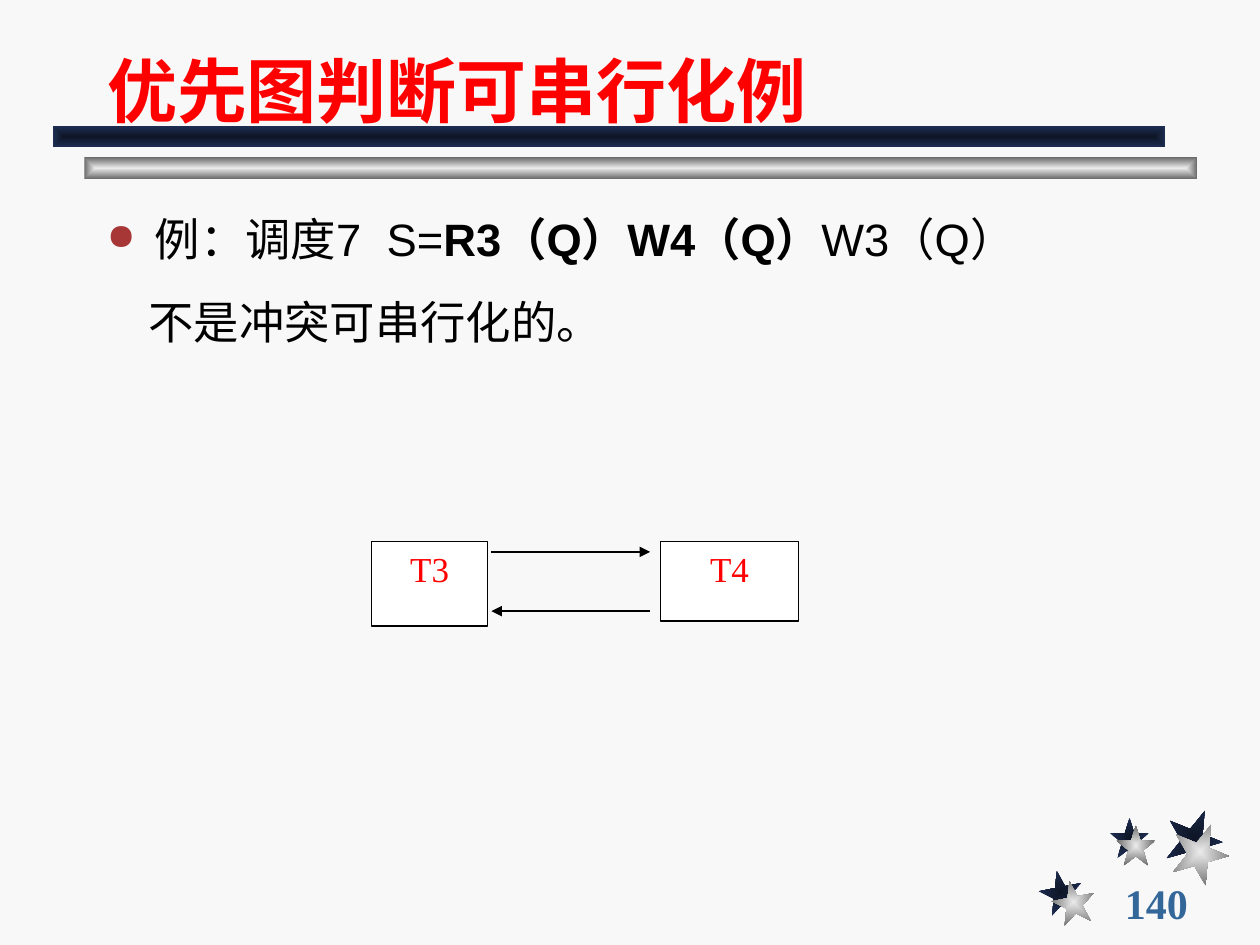
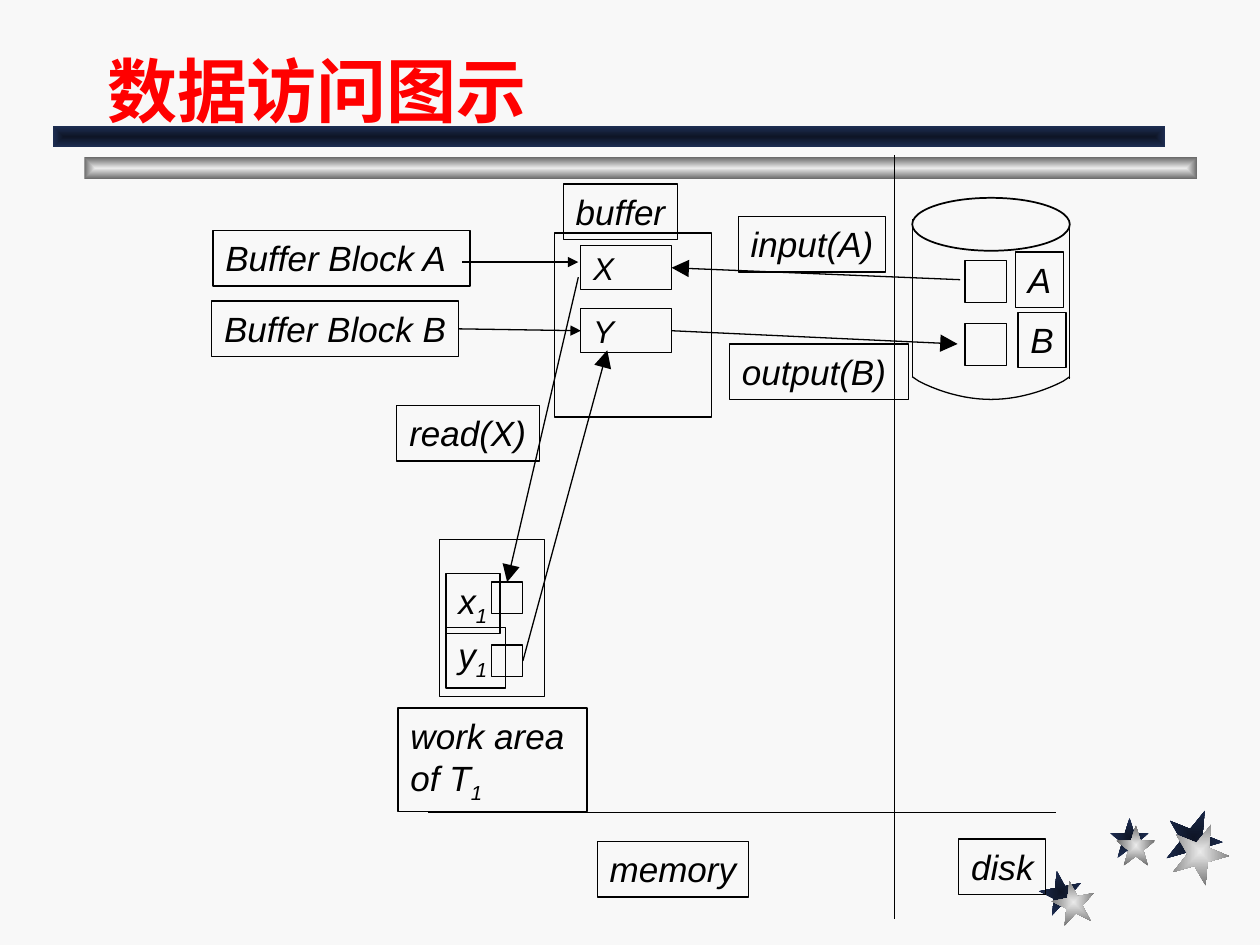
from dataclasses import dataclass
from math import pi, sin

from lxml.etree import SubElement
from pptx import Presentation
from pptx.dml.color import RGBColor
from pptx.enum.shapes import MSO_CONNECTOR, MSO_SHAPE
from pptx.enum.text import MSO_ANCHOR, PP_ALIGN
from pptx.oxml.ns import qn
from pptx.util import Inches, Pt

SLIDE_WIDTH, SLIDE_HEIGHT = Inches(10), Inches(7.5)
COLUMN, ROW = SLIDE_WIDTH / 100, SLIDE_HEIGHT / 75
TOP, LEFT, BOTTOM, RIGHT = range(4)


@dataclass(frozen=True)
class Theme:
    background: str = "F8F8F8"
    ink: str = "000000"
    red: str = "FF0000"
    white: str = "FFFFFF"
    bullet: str = "A73737"
    number: str = "336699"
    navy: tuple = ("0E1526", "1E2E53")
    silver: tuple = ("EAEAEA", "6C6C6C")
    sans: str = "Arial"
    serif: str = "Times New Roman"
    title_size: float = 40
    body_size: float = 25.9
    number_size: float = 24
    label_size: float = 20
    cell_size: float = 18
    line: float = 0.75


THEME = Theme()


@dataclass(frozen=True)
class Box:
    left: float
    top: float
    width: float
    height: float

    def area(self, left, top, width, height):
        return Box(self.left + left, self.top + top, width, height)

    def point(self, across, down):
        return self.left + across, self.top + down

    def frame(self):
        return (round(self.left * COLUMN), round(self.top * ROW),
                round(self.width * COLUMN), round(self.height * ROW))


PAGE = Box(0, 0, 100, 75)


def add_span(para, text, size, color=THEME.ink, font=THEME.sans, bold=False, italic=False):
    span = para.add_run()
    span.text = text
    span.font.size = Pt(size)
    span.font.name = font
    span.font.bold = bold
    span.font.italic = italic
    span.font.color.rgb = RGBColor.from_string(color)
    return span


def add_figure(page, kind, box, fill=None, line=THEME.line):
    figure = page.shapes.add_shape(kind, *box.frame())
    figure.shadow.inherit = False
    if fill:
        figure.fill.solid()
        figure.fill.fore_color.rgb = RGBColor.from_string(fill)
    else:
        figure.fill.background()
    figure.line.color.rgb = RGBColor.from_string(THEME.ink)
    figure.line.width = Pt(line)
    return figure


def add_rectangle(page, box, fill=None):
    return add_figure(page, MSO_SHAPE.RECTANGLE, box, fill)


def add_shaded(page, kind, box, colors, angle=0):
    figure = add_figure(page, kind, box)
    figure.line.fill.background()
    figure.rotation = angle
    figure.fill.gradient()
    for stop, color in zip(figure.fill.gradient_stops, colors):
        stop.color.rgb = RGBColor.from_string(color)
    gradient = figure.element.spPr.find(qn("a:gradFill"))
    gradient.remove(gradient.find(qn("a:lin")))
    shade = SubElement(gradient, qn("a:path"), path="rect")
    SubElement(shade, qn("a:fillToRect"), l="50000", t="50000", r="50000", b="50000")


def add_label(page, box, *lines, size=THEME.label_size, anchor=MSO_ANCHOR.TOP):
    label = add_rectangle(page, box)
    frame = label.text_frame
    frame.word_wrap = True
    frame.margin_right = 0
    frame.vertical_anchor = anchor
    for index, line in enumerate(lines):
        para = frame.add_paragraph() if index else frame.paragraphs[0]
        para.alignment = PP_ALIGN.LEFT
        base, _, subscript = line.partition("_")
        add_span(para, base, size, italic=True)
        if subscript:
            span = add_span(para, subscript, size, italic=True)
            span.font._element.set("baseline", "-25000")
    return label


def add_line(page, start, end, head=None, begin=None, finish=None):
    line = page.shapes.add_connector(
        MSO_CONNECTOR.STRAIGHT, round(start[0] * COLUMN), round(start[1] * ROW),
        round(end[0] * COLUMN), round(end[1] * ROW))
    line.line.color.rgb = RGBColor.from_string(THEME.ink)
    line.line.width = Pt(THEME.line)
    if head:
        outline = line.element.spPr.find(qn("a:ln"))
        SubElement(outline, qn("a:tailEnd"), type="triangle", w=head, len=head)
    SubElement(line.element.spPr, qn("a:effectLst"))
    if begin:
        line.begin_connect(*begin)
    if finish:
        line.end_connect(*finish)


def add_stars(page, box):
    stars = [((0, 4.9, 3.4, 3.4), (1, 0.8), -11),
             ((5.6, 0.7, 3.1, 3.2), (0.5, 0.6), 0),
             ((10, 0, 4.5, 4.6), (0.5, 1.1), 22)]
    for (left, top, width, height), _, angle in stars:
        add_shaded(page, MSO_SHAPE.STAR_5_POINT, box.area(left, top, width, height),
                   THEME.navy, angle)
    for (left, top, width, height), (across, down), angle in stars:
        add_shaded(page, MSO_SHAPE.STAR_5_POINT,
                   box.area(left + across, top + down, width, height), THEME.silver, angle)


def add_bands(page, box):
    for left, top, colors in ((2.5, 2.5, THEME.silver), (0, 0, THEME.navy)):
        add_shaded(page, MSO_SHAPE.RECTANGLE, box.area(left, top, 88.3, 1.7), colors)


def add_page(deck, heading):
    page = deck.slides.add_slide(deck.slide_layouts[5])
    add_stars(page, PAGE.area(82.5, 64.2, 15, 9.1))
    add_bands(page, PAGE.area(4.2, 10, 90.8, 4.2))
    title = page.shapes.title
    title.left, title.top, title.width, title.height = PAGE.area(7.5, 1.7, 85, 9.2).frame()
    title.text_frame.vertical_anchor = MSO_ANCHOR.BOTTOM
    para = title.text_frame.paragraphs[0]
    para.alignment = PP_ALIGN.LEFT
    add_span(para, heading, THEME.title_size, THEME.red, bold=True)
    return page


def add_page_number(page, box, number):
    frame = page.shapes.add_textbox(*box.frame()).text_frame
    frame.word_wrap = True
    frame.vertical_anchor = MSO_ANCHOR.MIDDLE
    add_span(frame.paragraphs[0], number, THEME.number_size, THEME.number, THEME.serif, bold=True)


def add_schedule(page, box):
    frame = page.shapes.add_textbox(*box.frame()).text_frame
    frame.word_wrap = True
    schedule = frame.paragraphs[0]
    properties = schedule._p.get_or_add_pPr()
    properties.set("marL", str(Inches(0.38)))
    properties.set("indent", str(-Inches(0.38)))
    color = SubElement(properties, qn("a:buClr"))
    SubElement(color, qn("a:srgbClr"), val=THEME.bullet)
    SubElement(properties, qn("a:buSzPct"), val="80000")
    SubElement(properties, qn("a:buChar"), char="●")
    add_span(schedule, "例：调度7", THEME.body_size)
    gap = add_span(schedule, " ", THEME.body_size)
    gap.font._element.set("spc", "720")
    add_span(schedule, "S=", THEME.body_size)
    add_span(schedule, "R3（Q）W4（Q）", THEME.body_size, bold=True)
    add_span(schedule, "W3（Q）", THEME.body_size)

    verdict = frame.add_paragraph()
    verdict._p.get_or_add_pPr().set("marL", str(Inches(0.33)))
    verdict.space_before = Pt(7)
    add_span(verdict, "不是冲突可串行化的。", THEME.body_size)
    for para in frame.paragraphs:
        para.line_spacing = 1.3


def add_precedence_graph(page, box):
    for name, left, width, height in (("T3", 0, 9.2, 6.7), ("T4", 22.9, 11, 6.3)):
        node = add_rectangle(page, box.area(left, 0, width, height), THEME.white)
        node.text_frame.vertical_anchor = MSO_ANCHOR.TOP
        para = node.text_frame.paragraphs[0]
        para.alignment = PP_ALIGN.CENTER
        add_span(para, name, THEME.label_size, THEME.red, THEME.serif)
    add_line(page, box.point(9.5, 0.8), box.point(22.1, 0.8), "med")
    add_line(page, box.point(22.1, 5.5), box.point(9.5, 5.5), "med")


def add_buffer(page, box):
    add_rectangle(page, box)
    cells = [add_label(page, box.area(2.1, top, 7.2, 3.5), name,
                       size=THEME.cell_size, anchor=MSO_ANCHOR.MIDDLE)
             for name, top in (("X", 1), ("Y", 6))]
    add_label(page, box.area(0.7, -3.9, 9.1, 4.4), "buffer")
    add_label(page, box.area(-27.1, -0.2, 20.4, 4.4), "Buffer Block A")
    block = add_label(page, box.area(-27.2, 5.4, 19.6, 4.4), "Buffer Block B")
    add_line(page, box.point(-7.3, 2.3), box.point(1.9, 2.3), "med")
    add_line(page, box.point(-7.5, 7.7), box.point(2.1, 7.7), "med",
             (block, RIGHT), (cells[1], LEFT))
    return cells


def add_disk(page, box):
    add_figure(page, MSO_SHAPE.OVAL, box.area(0, 0, box.width, 4.2), line=1)
    for across, down in ((0, 1.7), (box.width, 1.9)):
        add_line(page, box.point(across, down), box.point(across, down + 12.5))
    steps = 24
    curve = [box.point(box.width * step / steps, 14.2 + 1.8 * max(0, sin(pi * step / steps)) ** 0.8)
             for step in range(steps + 1)]
    points = [(round(across * COLUMN), round(down * ROW)) for across, down in curve]
    builder = page.shapes.build_freeform(*points[0])
    builder.add_line_segments(points[1:], close=False)
    base = builder.convert_to_shape()
    base.shadow.inherit = False
    base.fill.background()
    base.line.color.rgb = RGBColor.from_string(THEME.ink)
    base.line.width = Pt(THEME.line)
    for name, top, left, label_top in (("A", 5, 8.2, 4.3), ("B", 10, 8.4, 9.1)):
        add_rectangle(page, box.area(4.2, top, 3.3, 3.3))
        add_label(page, box.area(left, label_top, 3.8, 4.4), name)


def add_work_area(page, box):
    add_rectangle(page, box)
    cells = [add_rectangle(page, box.area(4.1, top, 2.5, 2.5)) for top in (3.4, 8.4)]
    add_label(page, box.area(0.5, 2.7, 4.3, 4.8), "x_1")
    add_label(page, box.area(0.5, 7, 4.7, 4.8), "y_1")
    add_label(page, box.area(-3.3, 13.4, 15, 8.2), "work area", "of T_1")
    return cells


def add_transfers(page, box, buffer_cells, work_cells):
    block_x, block_y = buffer_cells
    local_x, local_y = work_cells
    add_line(page, box.point(76.2, 22.2), box.point(53.3, 21.2), "lg", finish=(block_x, RIGHT))
    add_line(page, box.point(53.3, 26.2), box.point(76, 27.3), "lg", begin=(block_y, RIGHT))
    add_line(page, box.point(45.9, 22), box.point(40.2, 46.2), "lg", finish=(local_x, TOP))
    add_line(page, box.point(41.5, 52.4), box.point(48.2, 27.8), "lg", begin=(local_y, RIGHT))
    add_label(page, box.area(58.6, 17.2, 11.7, 4.4), "input(A)")
    add_label(page, box.area(57.9, 27.3, 14.2, 4.4), "output(B)")
    add_label(page, box.area(31.5, 32.2, 11.3, 4.4), "read(X)")


def add_storage_borders(page, box):
    add_line(page, box.point(0, 52.2), box.point(49.8, 52.2))
    add_line(page, box.point(37, 0), box.point(37, box.height))
    add_label(page, box.area(13.4, 54.5, 12, 4.4), "memory")
    add_label(page, box.area(42.1, 54.3, 6.9, 4.4), "disk")


def main():
    deck = Presentation()
    deck.slide_width, deck.slide_height = SLIDE_WIDTH, SLIDE_HEIGHT
    background = deck.slide_master.background.fill
    background.solid()
    background.fore_color.rgb = RGBColor.from_string(THEME.background)

    page = add_page(deck, "优先图判断可串行化例")
    add_page_number(page, PAGE.area(88.3, 70, 10.8, 3.3), "140")
    add_schedule(page, PAGE.area(7.5, 15, 82.7, 18.6))
    add_precedence_graph(page, PAGE.area(29.5, 43, 33.9, 6.7))

    page = add_page(deck, "数据访问图示")
    buffer_cells = add_buffer(page, PAGE.area(44, 18.5, 12.5, 14.6))
    add_disk(page, PAGE.area(72.4, 15.7, 12.5, 16.1))
    work_cells = add_work_area(page, PAGE.area(34.9, 42.8, 8.3, 12.5))
    add_transfers(page, PAGE, buffer_cells, work_cells)
    add_storage_borders(page, PAGE.area(34, 12.3, 49.8, 60.6))

    deck.save("out.pptx")


if __name__ == "__main__":
    main()
